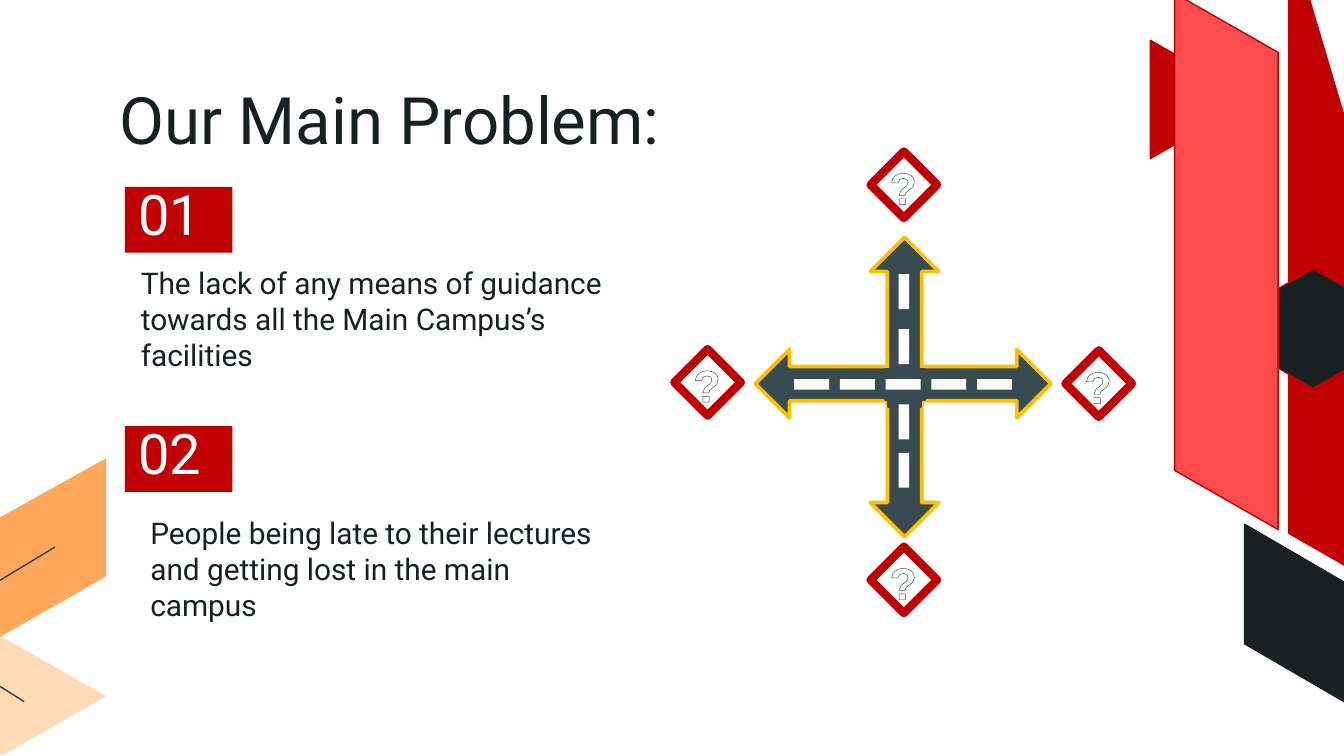
from lxml import etree
from pptx import Presentation
from pptx.dml.color import RGBColor
from pptx.enum.shapes import MSO_SHAPE
from pptx.enum.text import MSO_ANCHOR, MSO_AUTO_SIZE
from pptx.oxml.ns import qn
from pptx.util import Inches, Pt

RECT, ARROW = MSO_SHAPE.RECTANGLE, MSO_SHAPE.RIGHT_ARROW
TOP, MIDDLE = MSO_ANCHOR.TOP, MSO_ANCHOR.MIDDLE
GROW = MSO_AUTO_SIZE.SHAPE_TO_FIT_TEXT
RED = RGBColor(0xC0, 0x00, 0x00)
CORAL = RGBColor(0xFF, 0x4B, 0x4B)
ORANGE = RGBColor(0xFF, 0xA8, 0x5C)
PEACH = RGBColor(0xFF, 0xDC, 0xB6)
INK = RGBColor(0x18, 0x20, 0x22)
SLATE = RGBColor(0x2F, 0x40, 0x44)
ROAD = RGBColor(0x37, 0x4B, 0x50)
GOLD = RGBColor(0xFF, 0xC0, 0x00)
WHITE = RGBColor(0xFF, 0xFF, 0xFF)

deck = Presentation()
deck.slide_width, deck.slide_height = Inches(10), Inches(5.625)
slide = deck.slides.add_slide(deck.slide_layouts[6])
shapes = slide.shapes
CELL = deck.slide_width / 100  # square grid, 100 columns wide


def paint(shape, fill, line=None, width=0.75):
    shape.shadow.inherit = False
    if fill is None:
        shape.fill.background()
    else:
        shape.fill.solid()
        shape.fill.fore_color.rgb = fill
    if line is None:
        shape.line.fill.background()
    else:
        shape.line.color.rgb = line
        shape.line.width = Pt(width)
    return shape


def write(shape, text, size, color, font="Roboto"):
    frame = shape.text_frame
    frame.word_wrap = True
    para = frame.paragraphs[0]
    para.alignment = 1  # left
    run = para.add_run()
    run.text = text
    run.font.size = Pt(size)
    run.font.name = font
    run.font.color.rgb = color
    return frame, run


# Side panels: points in cells, fill, line, closed
panels = [
    ([(0, 38.5), (7.9, 34.1), (7.9, 42.9), (0, 47.4)], ORANGE, None, True),
    ([(0.2, 56.2), (-7.5, 51.8), (0.2, 47.4), (7.9, 51.8)], PEACH, None, True),
    ([(1.8, 52.2), (-3, 49.2), (-3, 45), (4.1, 40.7)], None, SLATE, False),
    ([(95.9, -5.4), (95.9, 39.7), (112, 48.9)], RED, RED, False),
    ([(97.7, 28.9), (105.4, 24.4), (97.7, 20), (90, 24.4)], INK, RED, True),
    ([(93.3, 7.4), (85.6, 11.8), (85.6, 3)], RED, RED, True),
    ([(87.4, -0.5), (87.4, 35), (95.1, 39.4), (95.1, 3.9)], CORAL, RED, True),
    ([(92.6, 39), (107.9, 47.9), (107.9, 56.8), (92.6, 47.9)], INK, INK, True),
]
# The dark block is a hexagon
panels[4] = ([(97.7, 28.9), (102.1, 26.4), (102.1, 22.5), (97.7, 20),
              (90, 24.4)], INK, RED, True)
for points, fill, line, closed in panels:
    dots = [(round(x * CELL), round(y * CELL)) for x, y in points]
    pen = shapes.build_freeform(*dots[0])
    pen.add_line_segments(dots[1:], close=closed)
    paint(pen.convert_to_shape(), fill, line)

# Crossroads, as centre, size, turn and colours of each part
HUB_X, HUB_Y = 67.2, 28.6
SIGNS = [(52.65, 28.45), (67.25, 43.15), (81.75, 28.55), (67.25, 13.75)]
parts = [(ARROW, x, y, 12.4, 5.1, turn, ROAD, GOLD, 2)
         for x, y, turn in [(72, 28.55, 0), (62.4, 28.55, 180),
                            (67.3, 33.75, 90), (67.3, 23.85, 270)]]
parts += [(RECT, x, HUB_Y, 0.6, 2.2, 0, ROAD, ROAD, 2) for x in (66.2, 68.5)]
parts += [(RECT, 67.3, 29.95, 0.6, 2.3, 270, ROAD, ROAD, 2)]
parts += [(RECT, HUB_X + 3.4 * step, HUB_Y, 2.6, 0.8, 0, WHITE, None, 0)
          for step in range(-2, 3)]
parts += [(RECT, 67.25, y, 2.6, 0.8, 90, WHITE, None, 0)
          for y in (21.7, 25.8, 31.4, 35)]
parts += [(RECT, x, y, 3.5, 3.5, 45, WHITE, RED, 4.5) for x, y in SIGNS]
for kind, x, y, wide, high, turn, fill, line, width in parts:
    part = shapes.add_shape(kind, round((x - wide / 2) * CELL),
                            round((y - high / 2) * CELL),
                            round(wide * CELL), round(high * CELL))
    part.rotation = turn
    paint(part, fill, line, width)

# Outlined question marks on the signs
for x, y in SIGNS:
    mark = shapes.add_textbox(round((x - 2.05) * CELL), round((y - 2.35) * CELL),
                              round(5.1 * CELL), round(5.1 * CELL))
    frame, run = write(mark, "?", 24, WHITE, "Arial")
    frame.auto_size = GROW
    run.font.bold = True
    edge = etree.Element(qn("a:ln"), w=str(Pt(1.5)))
    ink = etree.SubElement(etree.SubElement(edge, qn("a:solidFill")), qn("a:srgbClr"))
    ink.set("val", str(ROAD))
    run.font._element.insert(0, edge)

# Title and numbered badges
heads = [("Our Main Problem:", 7.9, 5.9, 77.5, 5.7, 35, INK, None, TOP),
         ("01", 9.3, 13.9, 8, 4.9, 30, WHITE, RED, MIDDLE),
         ("02", 9.3, 31.7, 8, 4.9, 30, WHITE, RED, MIDDLE)]
for text, x, y, wide, high, size, color, fill, anchor in heads:
    head = shapes.add_shape(RECT, round(x * CELL), round(y * CELL),
                            round(wide * CELL), round(high * CELL))
    paint(head, fill)
    frame, run = write(head, text, size, color)
    frame.vertical_anchor = anchor
    frame.margin_top, frame.margin_bottom = 0, Inches(0.1)

# Problem texts
notes = [("The lack of any means of guidance towards all the Main Campus’s facilities",
          9.5, 19.2, 36.4),
         ("People being late to their lectures and getting lost in the main campus",
          10.2, 37.8, 36.9)]
for text, x, y, wide in notes:
    note = shapes.add_textbox(round(x * CELL), round(y * CELL),
                              round(wide * CELL), round(9.1 * CELL))
    frame, run = write(note, text, 16, INK)
    frame.auto_size = GROW

deck.save("out.pptx")
